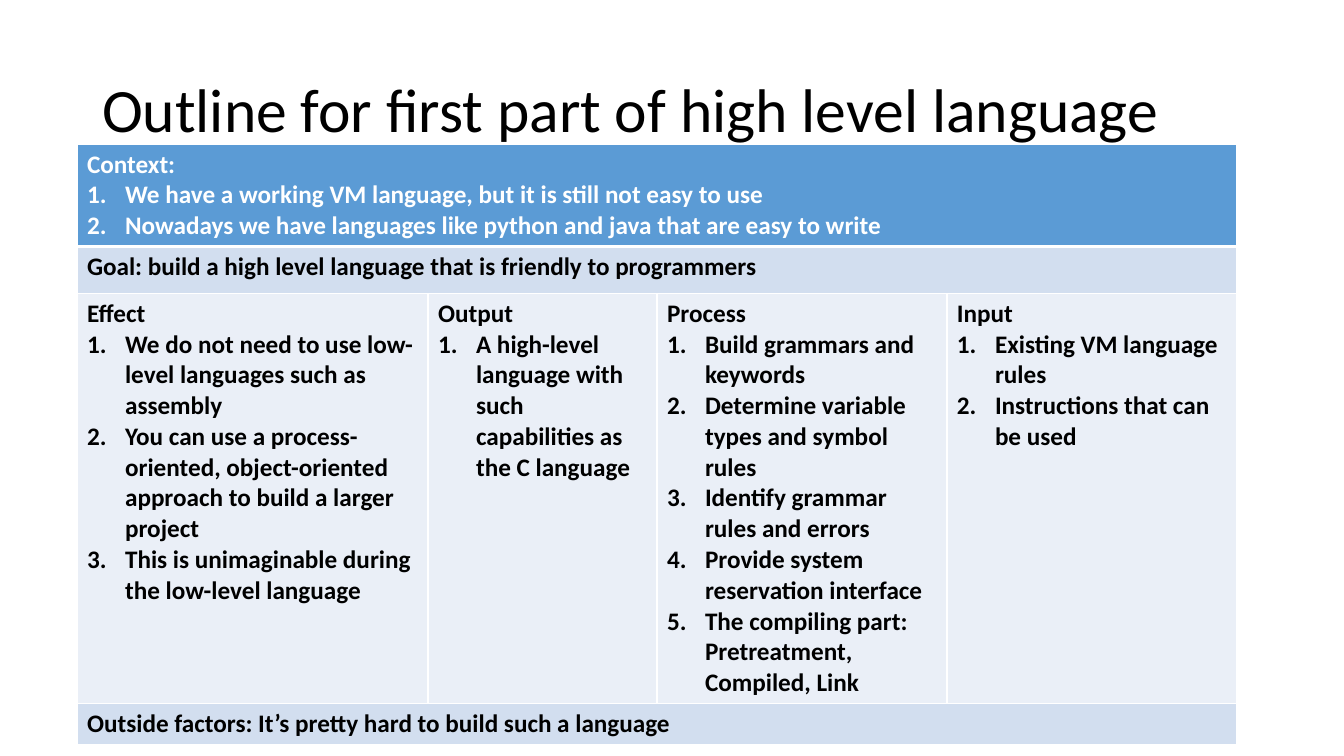
from lxml.etree import SubElement
from pptx import Presentation
from pptx.dml.color import RGBColor
from pptx.enum.text import MSO_ANCHOR as Anchor, MSO_AUTO_SIZE as AutoSize, PP_ALIGN as Align
from pptx.oxml.ns import qn
from pptx.util import Emu, Pt

SCALE = 914400 / 100.8
WHITE = RGBColor(0xFF, 0xFF, 0xFF)
BLACK = RGBColor(0x00, 0x00, 0x00)
BLUE = RGBColor(0x5B, 0x9B, 0xD5)
BAND = RGBColor(0xD2, 0xDE, 0xEF)
PALE = RGBColor(0xEA, 0xEF, 0xF7)


def px(value):
    return Emu(round(value * SCALE))


def set_all(target, **values):
    for name, value in values.items():
        setattr(target, name, value)


class SlideBuilder:
    font = "Calibri"
    indent = 38

    def __init__(self, presentation):
        self.slide = presentation.slides.add_slide(presentation.slide_layouts[5])

    def add_text(self, paragraph, text, size, color, bold):
        run = paragraph.add_run()
        run.text = text
        set_all(run.font, name=self.font, size=Pt(size), bold=bold)
        run.font.color.rgb = color

    def title(self, text, left, top, width, height):
        shape = self.slide.shapes.title
        set_all(shape, left=px(left), top=px(top), width=px(width), height=px(height))
        set_all(shape.text_frame, vertical_anchor=Anchor.MIDDLE,
                auto_size=AutoSize.NONE, word_wrap=True)
        paragraph = shape.text_frame.paragraphs[0]
        set_all(paragraph, alignment=Align.LEFT, line_spacing=0.9)
        self.add_text(paragraph, text, 44, BLACK, False)

    def number(self, paragraph):
        properties = paragraph._p.get_or_add_pPr()
        properties.set("marL", str(px(self.indent)))
        properties.set("indent", str(-px(self.indent)))
        SubElement(properties, qn("a:buFont"), typeface="+mj-lt")
        SubElement(properties, qn("a:buAutoNum"), type="arabicPeriod")

    def borders(self, cell, bottom):
        properties = cell._tc.get_or_add_tcPr()
        for side, width in (("L", 1), ("R", 1), ("T", 1), ("B", bottom)):
            line = SubElement(properties, qn(f"a:ln{side}"), w=str(Pt(width)))
            fill = SubElement(line, qn("a:solidFill"))
            SubElement(fill, qn("a:srgbClr"), val=str(WHITE))

    def cell(self, cell, heading, items, color):
        paragraph = cell.text_frame.paragraphs[0]
        self.add_text(paragraph, heading, 18, color, True)
        for item in items:
            paragraph = cell.text_frame.add_paragraph()
            self.number(paragraph)
            self.add_text(paragraph, item, 18, color, True)

    def table(self, rows, left, top, widths, heights):
        table = self.slide.shapes.add_table(
            len(rows), len(widths), px(left), px(top),
            px(sum(widths)), px(sum(heights))).table
        for column, width in zip(table.columns, widths):
            column.width = px(width)
        for index, (fill, color, bottom, contents) in enumerate(rows):
            table.rows[index].height = px(heights[index])
            for cell in table.rows[index].cells:
                self.borders(cell, bottom)
                cell.fill.solid()
                cell.fill.fore_color.rgb = fill
            if len(contents) == 1:
                table.cell(index, 0).merge(table.cell(index, len(widths) - 1))
            for column, (heading, items) in enumerate(contents):
                self.cell(table.cell(index, column), heading, items, color)


OUTLINE = [
    (BLUE, WHITE, 3, [("Context: ", [
        "We have a working VM language, but it is still not easy to use",
        "Nowadays we have languages like python and java that are easy to write"])]),
    (BAND, BLACK, 1, [
        ("Goal: build a high level language that is friendly to programmers", [])]),
    (PALE, BLACK, 1, [
        ("Effect", [
            "We do not need to use low-level languages such as assembly",
            "You can use a process-oriented, object-oriented approach to build a larger project",
            "This is unimaginable during the low-level language"]),
        ("Output", ["A high-level language with such capabilities as the C language"]),
        ("Process", [
            "Build grammars and keywords",
            "Determine variable types and symbol rules",
            "Identify grammar rules and errors",
            "Provide system reservation interface",
            "The compiling part: Pretreatment, Compiled, Link"]),
        ("Input", ["Existing VM language rules", "Instructions that can be used"])]),
    (BAND, BLACK, 1, [
        ("Outside factors: It’s pretty hard to build such a language", [])]),
]

presentation = Presentation()
set_all(presentation, slide_width=px(1344), slide_height=px(756))
builder = SlideBuilder(presentation)
builder.title("Outline for first part of high level language", 92, 40, 1159, 146)
builder.table(OUTLINE, 77, 144, [351, 229, 290, 290], [68, 47, 382, 41])
presentation.save("out.pptx")
